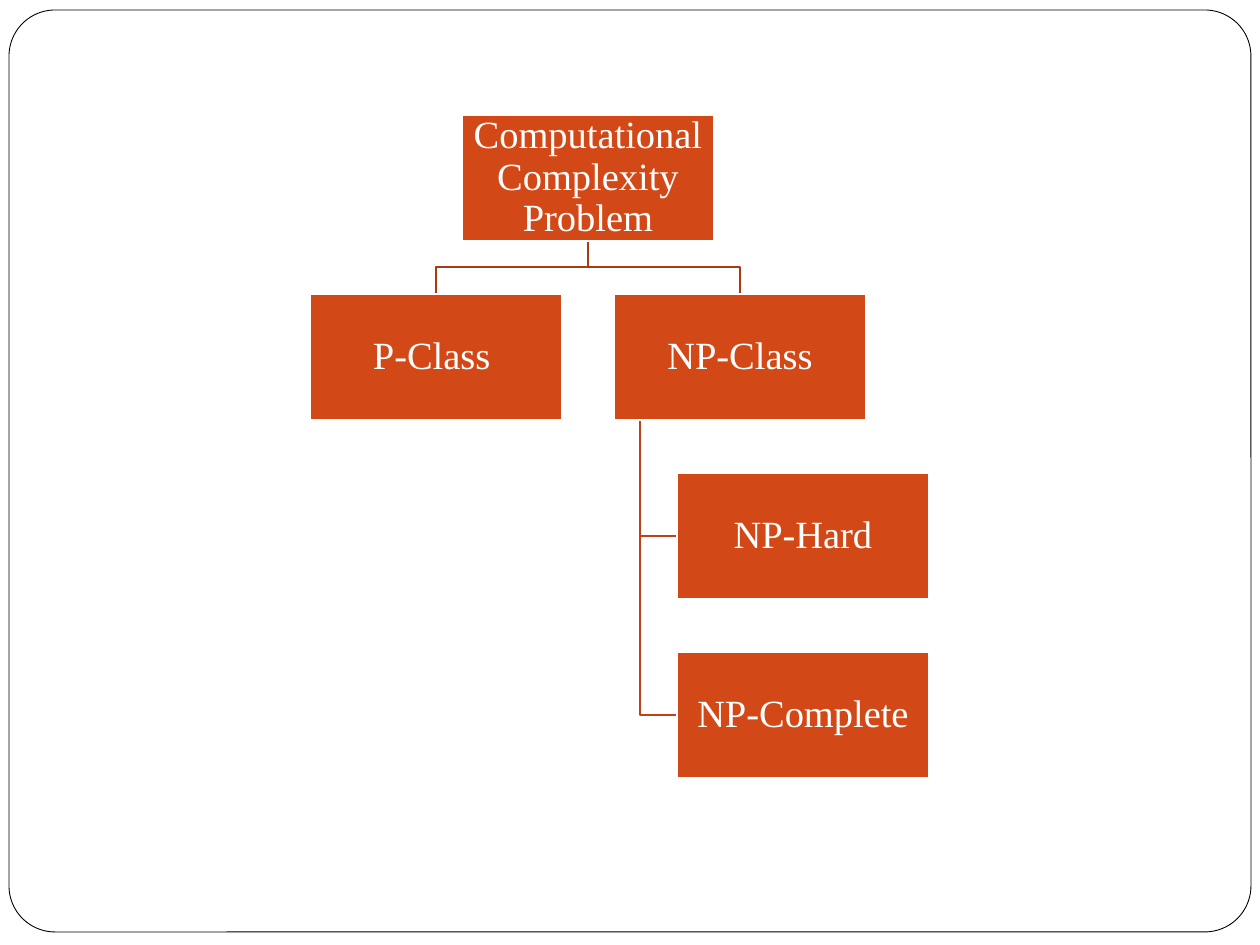
from dataclasses import dataclass

from pptx import Presentation
from pptx.dml.color import RGBColor
from pptx.enum.shapes import MSO_SHAPE as Preset
from pptx.enum.text import MSO_ANCHOR as Anchor, PP_ALIGN as Align
from pptx.util import Emu, Pt

EMU_PER_PX = 914400 / 126


def px(length):
    return Emu(round(length * EMU_PER_PX))


@dataclass(frozen=True)
class Theme:
    white: RGBColor = RGBColor.from_string("FFFFFF")
    black: RGBColor = RGBColor.from_string("000000")
    box: RGBColor = RGBColor.from_string("D34817")
    upper_branch: RGBColor = RGBColor.from_string("A93A12")
    lower_branch: RGBColor = RGBColor.from_string("BF4115")
    font: str = "Times New Roman"
    text_size: float = 22
    line_width: float = 1
    frame_width: float = 0.5


class SlideBuilder:
    def __init__(self, slide, theme):
        self.slide = slide
        self.theme = theme

    def outline(self, shape, color, width):
        shape.shadow.inherit = False
        shape.line.color.rgb = color
        shape.line.width = Pt(width)

    def panel(self, preset, left, top, width, height, fill, line, line_width):
        shape = self.slide.shapes.add_shape(
            preset, px(left), px(top), px(width), px(height))
        shape.fill.solid()
        shape.fill.fore_color.rgb = fill
        self.outline(shape, line, line_width)
        return shape

    def frame(self, left, top, width, height):
        theme = self.theme
        shape = self.panel(Preset.ROUNDED_RECTANGLE, left, top, width, height,
                           theme.white, theme.black, theme.frame_width)
        shape.adjustments[0] = 0.05

    def box(self, text, left, top, width, height):
        theme = self.theme
        shape = self.panel(Preset.RECTANGLE, left, top, width, height,
                           theme.box, theme.white, theme.line_width)
        text_frame = shape.text_frame
        text_frame.word_wrap = True
        text_frame.vertical_anchor = Anchor.MIDDLE
        text_frame.margin_left = text_frame.margin_right = px(2)
        text_frame.margin_top = text_frame.margin_bottom = px(2)
        paragraph = text_frame.paragraphs[0]
        paragraph.alignment = Align.CENTER
        paragraph.line_spacing = 0.9
        run = paragraph.add_run()
        run.text = text
        run.font.name = theme.font
        run.font.size = Pt(theme.text_size)
        run.font.color.rgb = theme.white

    def branch(self, points, color):
        start, *rest = [(px(x), px(y)) for x, y in points]
        builder = self.slide.shapes.build_freeform(*start)
        builder.add_line_segments(rest, close=False)
        shape = builder.convert_to_shape()
        shape.fill.background()
        self.outline(shape, color, self.theme.line_width)


def main():
    presentation = Presentation()
    presentation.slide_width, presentation.slide_height = px(1260), px(945)
    slide = presentation.slides.add_slide(presentation.slide_layouts[6])
    theme = Theme()
    builder = SlideBuilder(slide, theme)

    # Tree grid: four equally spaced rows, root centred over its two classes
    box_width, box_height = 252, 126
    root_row, class_row, hard_row, complete_row = [
        115 + 179 * row for row in range(4)]
    p_left, np_left, leaf_left = 310, 614, 677
    root_left = (p_left + np_left) // 2
    half_width, half_height = box_width // 2, box_height // 2

    # Page frame
    builder.frame(9, 10, 1242, 922)

    # Branches from NP-Class to its leaves
    trunk = np_left + 26
    for row in (complete_row, hard_row):
        middle = row + half_height
        builder.branch([(trunk, class_row + box_height), (trunk, middle),
                        (leaf_left, middle)], theme.lower_branch)

    # Branches from the root to the classes
    root_center, root_bottom = root_left + half_width, root_row + box_height
    bend = (root_bottom + class_row) // 2
    for left in (np_left, p_left):
        center = left + half_width
        builder.branch([(root_center, root_bottom), (root_center, bend),
                        (center, bend), (center, class_row)],
                       theme.upper_branch)

    # Boxes
    for text, left, top in (
        ("Computational Complexity Problem", root_left, root_row),
        ("P-Class\t", p_left, class_row),
        ("NP-Class", np_left, class_row),
        ("NP-Hard", leaf_left, hard_row),
        ("NP-Complete", leaf_left, complete_row),
    ):
        builder.box(text, left, top, box_width, box_height)

    presentation.save("out.pptx")


if __name__ == "__main__":
    main()
